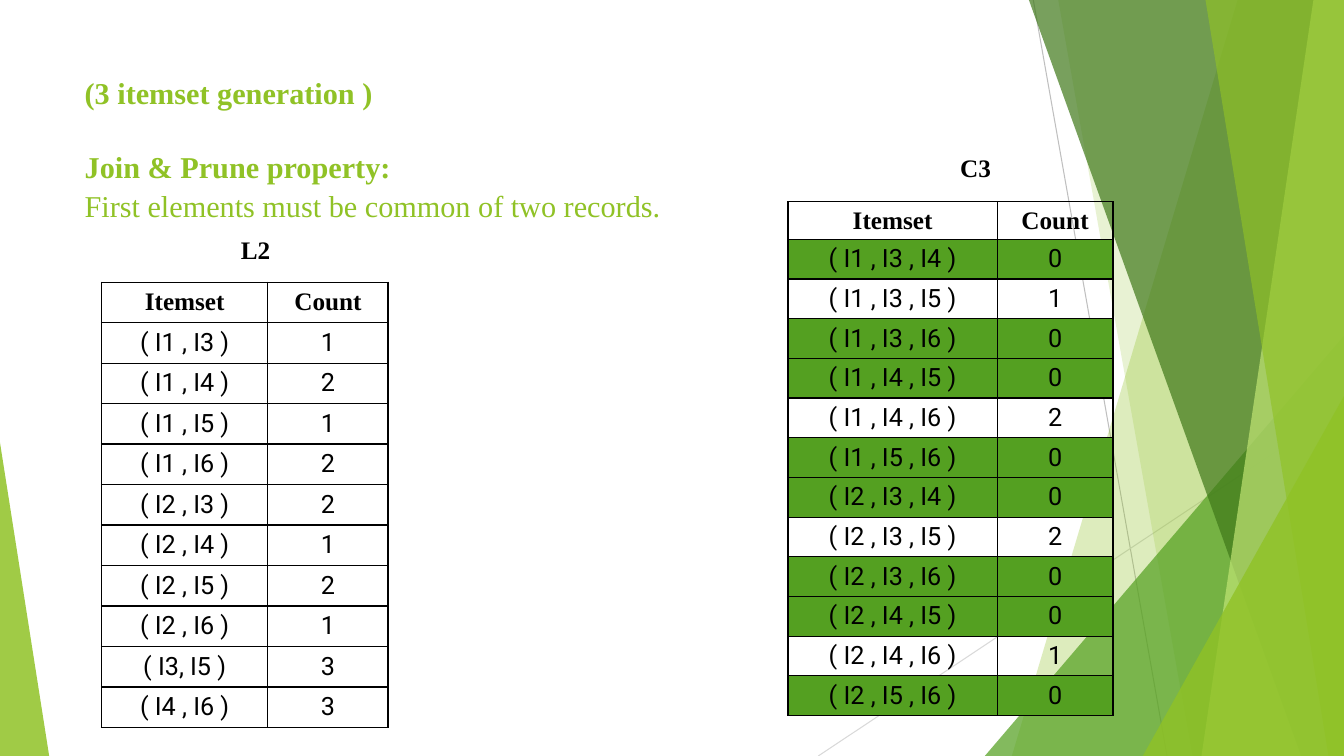
from pptx import Presentation
from pptx.dml.color import RGBColor
from pptx.enum import shapes, text
from pptx.oxml import ns, xmlchemy as xml
from pptx.util import Cm, Pt
from lxml import etree

BLACK = RGBColor(0x00, 0x00, 0x00)
LIME = RGBColor(0x90, 0xC2, 0x26)
GREEN = RGBColor(0x54, 0xA0, 0x21)
FOREST = RGBColor(0x3F, 0x78, 0x19)
PALE = RGBColor(0xC0, 0xE4, 0x74)
GREY = RGBColor(0xBF, 0xBF, 0xBF)
SILVER = RGBColor(0xD9, 0xD9, 0xD9)
SERIF, SANS = "Times New Roman", "Roboto"
WIDE, HIGH = 33.87, 19.05

TITLE = [
    ("(3 itemset generation )", True, 0),
    ("Join & Prune property:", True, 26),
    ("First elements must be common of two records.", False, 0),
]
HEAD = ("Itemset", "Count")
PAIRS = [
    ("( I1 , I3 )", 1), ("( I1 , I4 )", 2), ("( I1 , I5 )", 1),
    ("( I1 , I6 )", 2), ("( I2 , I3 )", 2), ("( I2 , I4 )", 1),
    ("( I2 , I5 )", 2), ("( I2 , I6 )", 1), ("( I3, I5 )", 3),
    ("( I4 , I6 )", 3),
]
TRIPLES = [
    ("( I1 , I3 , I4 )", 0), ("( I1 , I3 , I5 )", 1),
    ("( I1 , I3 , I6 )", 0), ("( I1 , I4 , I5 )", 0),
    ("( I1 , I4 , I6 )", 2), ("( I1 , I5 , I6 )", 0),
    ("( I2 , I3 , I4 )", 0), ("( I2 , I3 , I5 )", 2),
    ("( I2 , I3 , I6 )", 0), ("( I2 , I4 , I5 )", 0),
    ("( I2 , I4 , I6 )", 1), ("( I2 , I5 , I6 )", 0),
]
TABLES = [
    (TRIPLES, 19.86, 5.08, (5.27, 2.92), 0.95, 1.0),
    (PAIRS, 2.56, 7.11, (4.19, 3.03), 1.02, 1.02),
]
LABELS = [("C3", 23.95, 3.72), ("L2", 5.82, 5.77)]
RAYS = [
    (26.04, 0, 29.41, HIGH, GREY),
    (WIDE, 10.24, 20.62, HIGH, SILVER),
]
FACETS = [
    ("wing", (31.19, 25.5), LIME, 30),
    ("wing", (26.67, 30.05), LIME, 20),
    ("peak", (24.82, 8.46, 9.05, 1), GREEN, 72),
    ("wing", (25.93, 32.79), FOREST, 70),
    ("wing", (33.1, 30.28), PALE, 70),
    ("wing", (30.38, 33.48), LIME, 65),
    ("peak", (28.8, 9.98, 5.07, 1), LIME, 80),
    ("peak", (0, 11.15, 1.24, 0), LIME, 85),
]


def style(par, face, size, color, bold):
    for run in par.runs:
        font = run.font
        font.name, font.size, font.bold = face, Pt(size), bold
        font.color.rgb = color


def add_ray(x, y, x2, y2, color):
    ray = slide.shapes.add_connector(
        shapes.MSO_CONNECTOR.STRAIGHT, Cm(x), Cm(y), Cm(x2), Cm(y2))
    ray.line.color.rgb = color
    ray.line.width = Pt(0.75)
    etree.SubElement(ray._element.spPr, ns.qn("a:effectLst"))


def add_facet(kind, spec_pts, color, alpha):
    if kind == "wing":
        top, base = spec_pts
        pen = slide.shapes.build_freeform(Cm(top), 0)
        pen.add_line_segments([(Cm(WIDE), 0), (Cm(WIDE), Cm(HIGH)), (Cm(base), Cm(HIGH))])
        facet = pen.convert_to_shape()
    else:
        x, y, width, apex = spec_pts
        facet = slide.shapes.add_shape(
            shapes.MSO_SHAPE.ISOSCELES_TRIANGLE, Cm(x), Cm(y), Cm(width), Cm(HIGH - y))
        facet.adjustments[0] = apex
    facet.shadow.inherit = False
    facet.line.fill.background()
    facet.fill.solid()
    facet.fill.fore_color.rgb = color
    tint = facet._element.spPr.find(ns.qn("a:solidFill"))[0]
    etree.SubElement(tint, ns.qn("a:alpha"), val=str(alpha * 1000))


def add_edges(cell):
    props = cell._tc.get_or_add_tcPr()
    for side in ("lnL", "lnR", "lnT", "lnB"):
        edge = etree.SubElement(props, ns.qn("a:" + side), w=str(Pt(1)))
        paint = etree.SubElement(edge, ns.qn("a:solidFill"))
        etree.SubElement(paint, ns.qn("a:srgbClr"), val=str(BLACK))


def add_grid(items, x, y, widths, first, step):
    rows = [HEAD] + items
    high = first + step * len(items)
    grid = slide.shapes.add_table(
        len(rows), len(HEAD), Cm(x), Cm(y), Cm(sum(widths)), Cm(high)).table
    grid.first_row = grid.horz_banding = False
    for col, width in zip(grid.columns, widths):
        col.width = Cm(width)
    for r, row in enumerate(rows):
        grid.rows[r].height = Cm(step if r else first)
        for c, value in enumerate(row):
            cell = grid.cell(r, c)
            cell.margin_top = cell.margin_bottom = 0
            cell.vertical_anchor = text.MSO_ANCHOR.MIDDLE
            add_edges(cell)
            if row[1] == 0:
                cell.fill.solid()
                cell.fill.fore_color.rgb = GREEN
            else:
                cell.fill.background()
            cell.text_frame.text = str(value)
            par = cell.text_frame.paragraphs[0]
            par.alignment = text.PP_ALIGN.CENTER
            style(par, SANS if r else SERIF, 18, BLACK, r == 0)


def add_label(name, x, y):
    frame = slide.shapes.add_textbox(Cm(x), Cm(y), Cm(1.55), Cm(1.02)).text_frame
    frame.text = name
    style(frame.paragraphs[0], SERIF, 18, BLACK, True)


def fill_title(title):
    title.left, title.top = Cm(1.88), Cm(1.7)
    title.width, title.height = Cm(23.88), Cm(3.66)
    frame = title.text_frame
    frame.auto_size = text.MSO_AUTO_SIZE.NONE
    frame.vertical_anchor = text.MSO_ANCHOR.TOP
    frame.text = "\n".join(line for line, _, _ in TITLE)
    for par, (_, bold, gap) in zip(frame.paragraphs, TITLE):
        par.alignment = text.PP_ALIGN.LEFT
        par.line_spacing = 1.05
        par.space_before = Pt(gap)
        style(par, SERIF, 21.6, LIME, bold)


deck = Presentation()
deck.slide_width, deck.slide_height = Cm(WIDE), Cm(HIGH)
slide = deck.slides.add_slide(deck.slide_layouts[5])
for ray in RAYS:
    add_ray(*ray)
for facet in FACETS:
    add_facet(*facet)
fill_title(slide.shapes.title)
for grid in TABLES:
    add_grid(*grid)
for label in LABELS:
    add_label(*label)
deck.save("out.pptx")
